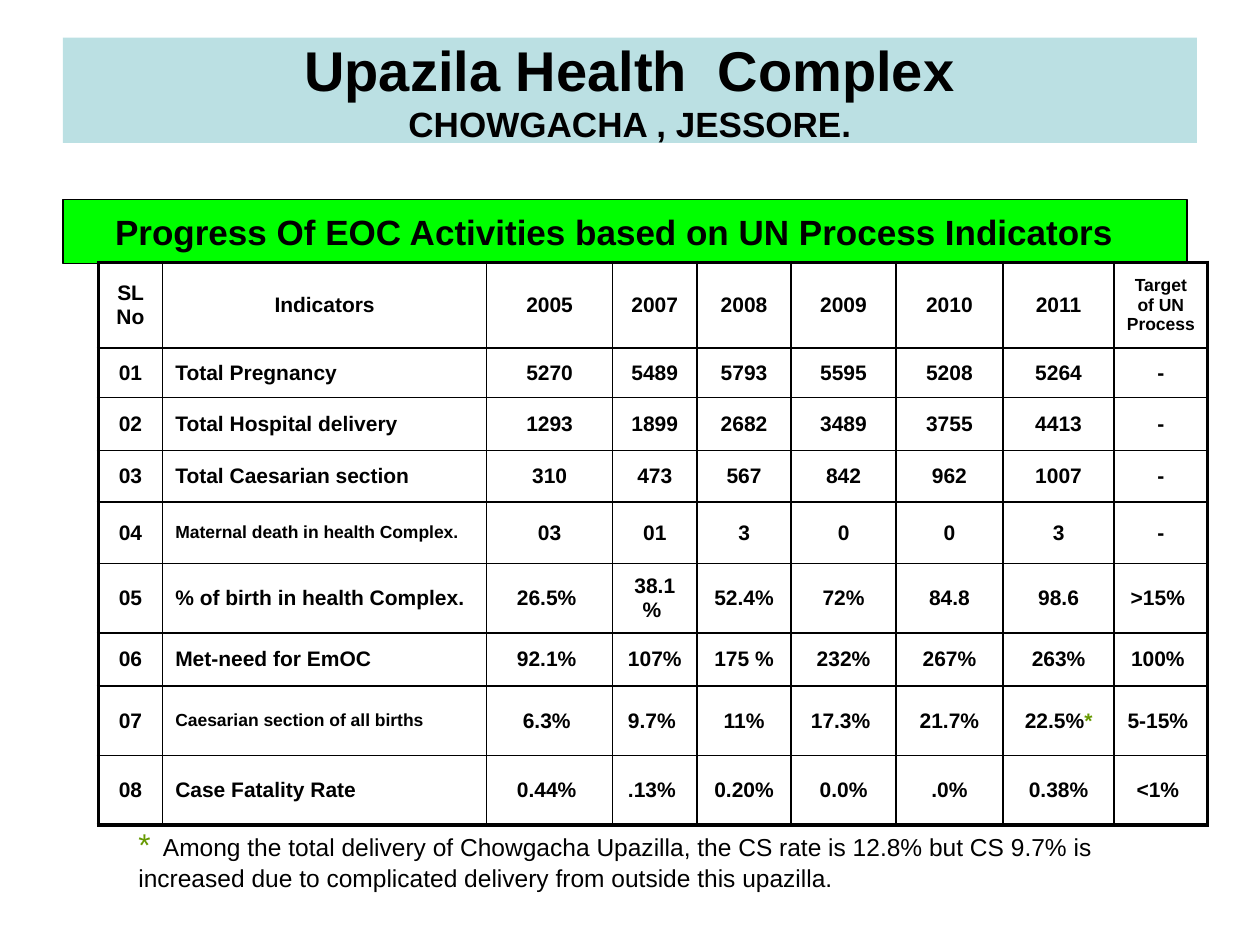
from lxml import etree
from pptx import Presentation
from pptx import util as u
from pptx.dml import color
from pptx.enum import shapes, text
from pptx.oxml import ns

COLORS = {"black": "000000", "title": "BBE0E3", "banner": "00FF00", "star": "669900"}
CENTER, LEFT = text.PP_ALIGN.CENTER, text.PP_ALIGN.LEFT
THIN, THICK = 1, 2.25

COLUMN_WIDTHS = [1.3, 6.53, 2.54, 1.7, 1.9, 2.11, 2.16, 2.24, 1.88]
ROW_HEIGHTS = [1.73, 0.99, 1.07, 1.04, 1.24, 1.4, 1.07, 1.4, 1.4]
ROWS = [
    ["SL No", "Indicators", "2005", "2007", "2008", "2009", "2010", "2011",
     "Target of UN Process"],
    ["01", "Total Pregnancy", "5270", "5489", "5793", "5595", "5208", "5264", "-"],
    ["02", "Total Hospital delivery", "1293", "1899", "2682", "3489", "3755", "4413", "-"],
    ["03", "Total Caesarian section", "310", "473", "567", "842", "962", "1007", "-"],
    ["04", "Maternal death in health Complex.", "03", "01", "3", "0", "0", "3", "-"],
    ["05", "% of birth in health Complex.", "26.5% ", "38.1% ", "52.4%", "72%", "84.8",
     "98.6", ">15% "],
    ["06", "Met-need for EmOC", "92.1% ", "107% ", "175 %", "232%", "267%", "263%", "100% "],
    ["07", "Caesarian section of all births", "6.3% ", "9.7% ", "11%", "17.3% ", "21.7%",
     "22.5%*", "5-15% "],
    ["08", "Case Fatality Rate", "0.44% ", ".13% ", "0.20%", "0.0%", ".0%", "0.38%", "<1% "],
]
SMALL_CELLS = {(0, 8), (4, 1), (7, 1)}


def rgb(name):
    return color.RGBColor.from_string(COLORS[name])


def write(paragraph, content, size, bold=True, align=CENTER, star_size=None):
    paragraph.alignment = align
    font = paragraph.font
    font.name, font.size, font.bold = "Arial", u.Pt(size), bold
    font.color.rgb = rgb("black")
    before, star, after = content.partition("*")
    for part in filter(None, (before, star, after)):
        run = paragraph.add_run()
        run.text = part
        if part == "*":
            run.font.size = u.Pt(star_size or size)
            run.font.color.rgb = rgb("star")


def write_lines(frame, lines, **style):
    for index, (content, size) in enumerate(lines):
        paragraph = frame.add_paragraph() if index else frame.paragraphs[0]
        write(paragraph, content, size, **style)


def add_bar(slide, box, fill, lines, outlined=False, right_inset=0.25):
    shape = slide.shapes.add_shape(shapes.MSO_SHAPE.RECTANGLE, *map(u.Cm, box))
    shape.shadow.inherit = False
    shape.fill.solid()
    shape.fill.fore_color.rgb = rgb(fill)
    if outlined:
        shape.line.color.rgb = rgb("black")
        shape.line.width = u.Pt(0.75)
    else:
        shape.line.fill.background()
    frame = shape.text_frame
    frame.word_wrap = True
    frame.vertical_anchor = text.MSO_ANCHOR.MIDDLE
    frame.margin_top = frame.margin_bottom = 0
    frame.margin_right = u.Cm(right_inset)
    write_lines(frame, lines)


def set_borders(cell, widths):
    properties = cell._tc.get_or_add_tcPr()
    for side, width in zip("LRTB", widths):
        line = etree.SubElement(properties, ns.qn(f"a:ln{side}"), w=str(u.Pt(width)))
        fill = etree.SubElement(line, ns.qn("a:solidFill"))
        etree.SubElement(fill, ns.qn("a:srgbClr"), val=COLORS["black"])


def add_indicator_table(slide, left, top):
    row_count, column_count = len(ROWS), len(COLUMN_WIDTHS)
    size = sum(COLUMN_WIDTHS), sum(ROW_HEIGHTS)
    table = slide.shapes.add_table(
        row_count, column_count, *map(u.Cm, (left, top, *size))).table
    table.first_row = table.horz_banding = False
    for column, width in zip(table.columns, COLUMN_WIDTHS):
        column.width = u.Cm(width)
    for row, height in zip(table.rows, ROW_HEIGHTS):
        row.height = u.Cm(height)
    for r, values in enumerate(ROWS):
        for c, value in enumerate(values):
            cell = table.cell(r, c)
            outer = c == 0, c == column_count - 1, r == 0, r == row_count - 1
            set_borders(cell, [THICK if edge else THIN for edge in outer])
            cell.fill.background()
            cell.vertical_anchor = text.MSO_ANCHOR.MIDDLE
            write(cell.text_frame.paragraphs[0], value,
                  10 if (r, c) in SMALL_CELLS else 12,
                  align=LEFT if c == 1 and r else CENTER)


def add_footnote(slide, box, lines):
    frame = slide.shapes.add_textbox(*map(u.Cm, box)).text_frame
    frame.word_wrap = False
    frame.auto_size = text.MSO_AUTO_SIZE.SHAPE_TO_FIT_TEXT
    write_lines(frame, lines, bold=False, align=LEFT, star_size=18)


def main():
    presentation = Presentation()
    presentation.slide_width, presentation.slide_height = u.Cm(25.4), u.Cm(19.05)
    slide = presentation.slides.add_slide(presentation.slide_layouts[6])
    add_bar(slide, (1.27, 0.76, 22.86, 2.12), "title",
            [("Upazila Health  Complex", 32), ("CHOWGACHA , JESSORE.", 20)])
    add_bar(slide, (1.27, 4.02, 22.66, 1.3), "banner",
            [("Progress Of EOC Activities based on UN Process Indicators", 20)],
            outlined=True, right_inset=0.68)
    add_indicator_table(slide, 1.98, 5.29)
    add_footnote(slide, (2.54, 16.51, 19.86, 1.6), [
        ("*  Among the total delivery of Chowgacha Upazilla, the CS rate is 12.8% but CS 9.7% is",
         14),
        ("increased due to complicated delivery from outside this upazilla.", 14),
    ])
    presentation.save("out.pptx")


if __name__ == "__main__":
    main()
